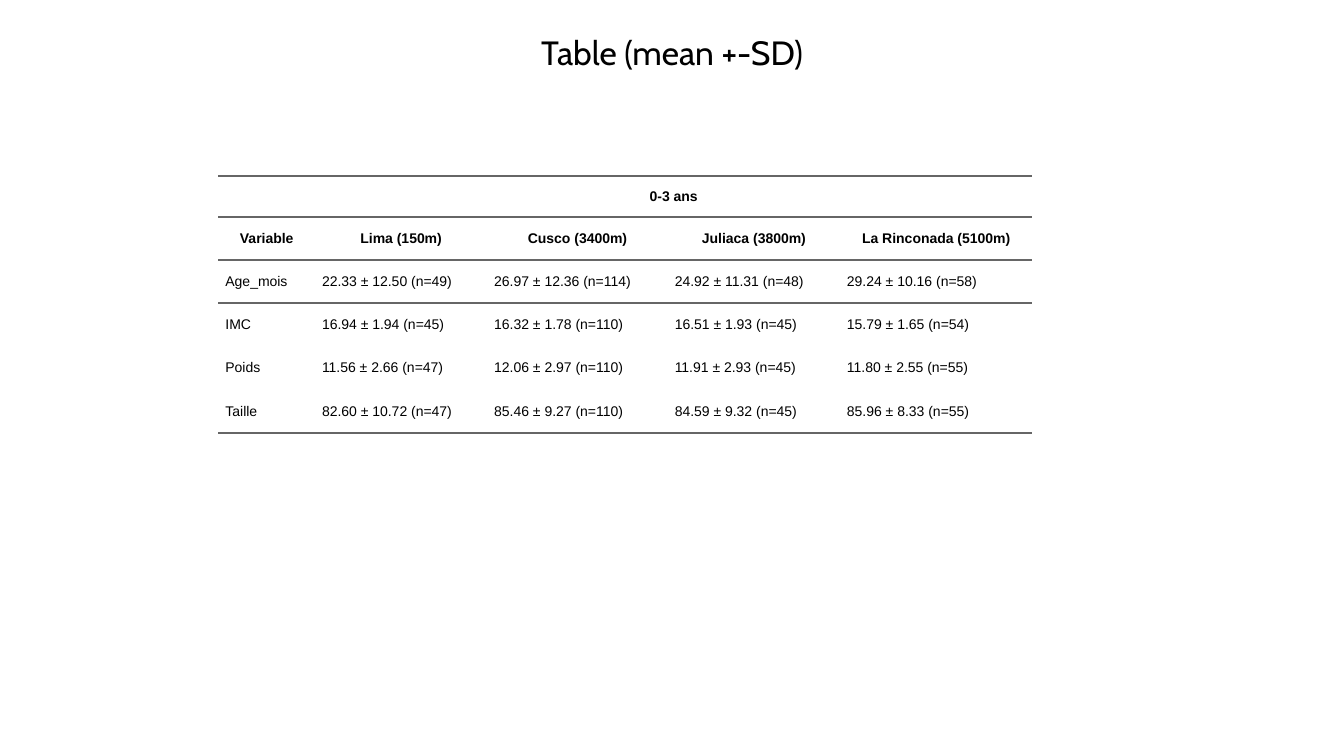
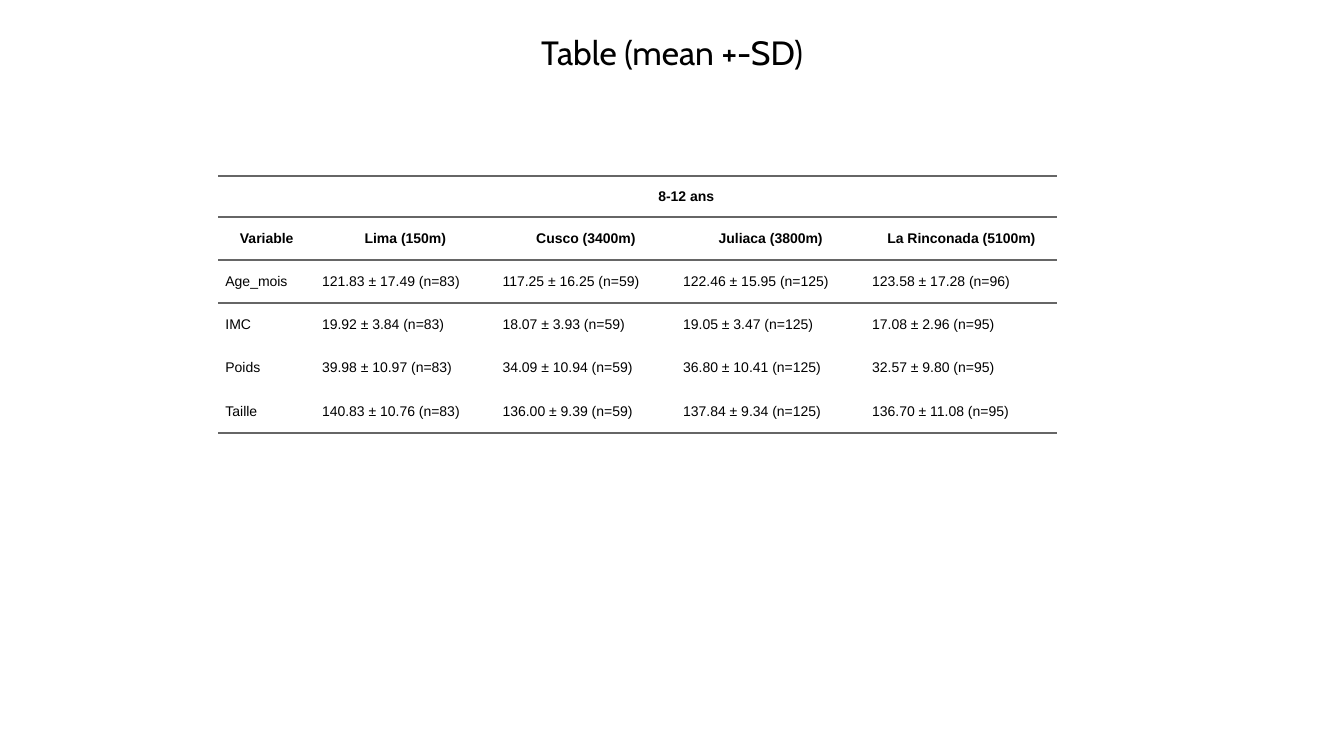
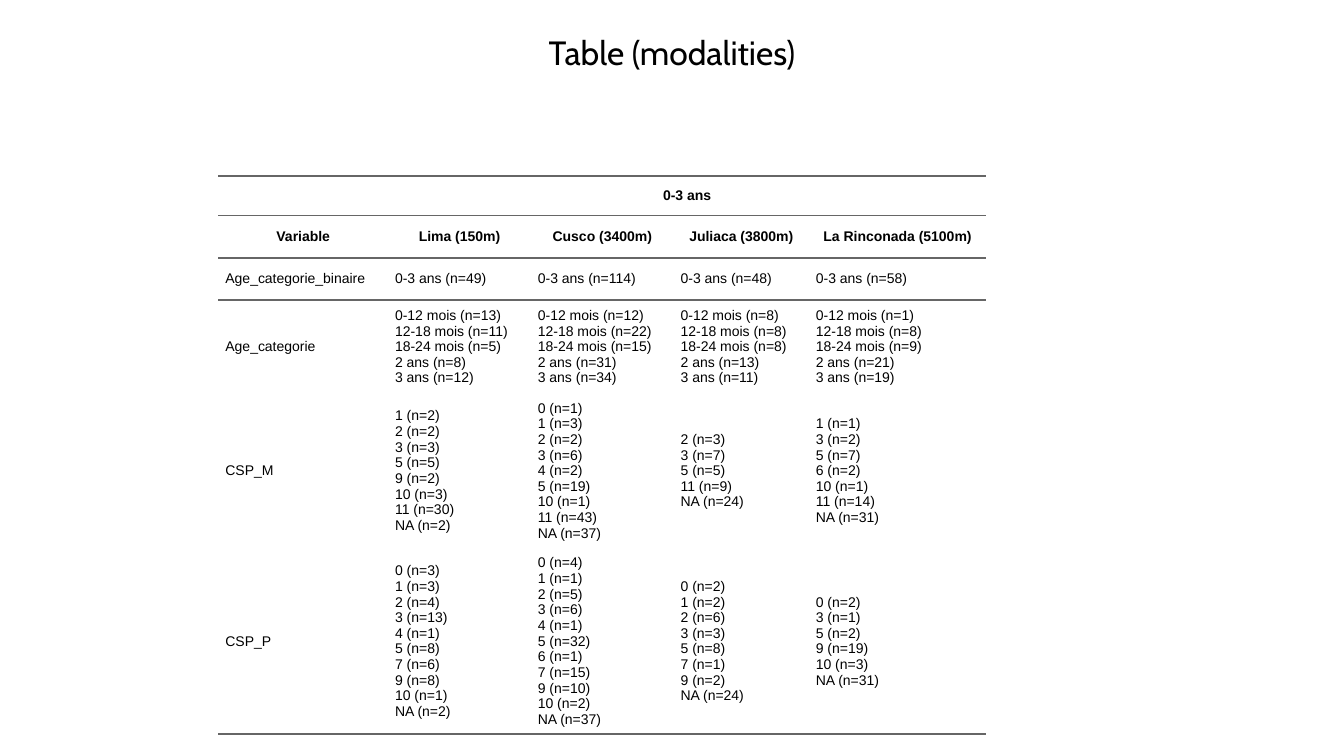
from lxml.etree import SubElement
from pptx import Presentation
from pptx.dml.color import RGBColor
from pptx.enum.text import MSO_ANCHOR as Anchor, PP_ALIGN as Align
from pptx.oxml import parse_xml
from pptx.oxml.ns import nsdecls, qn
from pptx.util import Inches, Pt

GRID_COLUMNS, GRID_ROWS = 160, 90
PLAIN_TABLE_STYLE = "{2D5ABB26-0587-4C30-8999-92F81FD0307C}"
HEADER = ["Variable", "Lima (150m)", "Cusco (3400m)", "Juliaca (3800m)",
          "La Rinconada (5100m)"]
AGES = ["0-12 mois", "12-18 mois", "18-24 mois", "2 ans", "3 ans"]


def color(value):
    return RGBColor.from_string(value)


def write(frame, text, font="Arial", size=10, bold=False, ink="000000",
          align=Align.LEFT, spacing=None):
    """Fill a text frame, one paragraph for each line of text."""
    frame.text = text
    for para in frame.paragraphs:
        para.alignment = align
        para.line_spacing = spacing
        for span in para.runs:
            span.font.name = font
            span.font.size = Pt(size)
            span.font.bold = bold
            span.font.color.rgb = color(ink)
        if not para.runs:
            SubElement(para._p, qn("a:endParaRPr"), sz=str(size * 100))


def rule(cell, sides, ink, points):
    """Draw cell borders; sides come in the order T, B."""
    properties = cell._tc.get_or_add_tcPr()
    for position, side in enumerate(sides):
        properties.insert(position, parse_xml(
            f'<a:ln{side} {nsdecls("a")} w="{Pt(points)}"><a:solidFill>'
            f'<a:srgbClr val="{ink}"/></a:solidFill></a:ln{side}>'))


def counts(pairs):
    """Turn 'category:number' items into lines such as 'category (n=number)'."""
    items = (pair.split(":") for pair in pairs.split())
    return "\n".join(f"{category} (n={number})" for category, number in items)


def age_counts(*numbers):
    return "\n".join(f"{age} (n={number})" for age, number in zip(AGES, numbers))


class Report:
    title_font, title_size = "Cabin", 24
    line_color, line_width = "666666", 1.5
    cell_margin = Inches(0.07)

    def __init__(self):
        self.deck = Presentation()
        self.deck.slide_width, self.deck.slide_height = Inches(13.33), Inches(7.5)
        self.page = None

    def across(self, columns):
        return int(self.deck.slide_width * columns / GRID_COLUMNS)

    def down(self, rows):
        return int(self.deck.slide_height * rows / GRID_ROWS)

    def add_page(self, title):
        self.page = self.deck.slides.add_slide(self.deck.slide_layouts[5])
        box = self.page.shapes.title
        box.left, box.top = self.across(5.5), self.down(-2.15)
        box.width, box.height = self.across(149), self.down(17.4)
        box.text_frame.vertical_anchor = Anchor.MIDDLE
        write(box.text_frame, title, font=self.title_font, size=self.title_size,
              align=Align.CENTER, spacing=0.9)

    def add_table(self, age_group, body, widths, heights):
        rows = [["", age_group, "", "", ""], HEADER, *body]
        table = self.page.shapes.add_table(
            len(rows), len(HEADER), self.across(26), self.down(21),
            self.across(sum(widths)), self.down(sum(heights))).table
        table.first_row = table.horz_banding = False
        table._tbl.tblPr.find(qn("a:tableStyleId")).text = PLAIN_TABLE_STYLE
        for column, width in zip(table.columns, widths):
            column.width = self.across(width)
        for row, height in zip(table.rows, heights):
            row.height = self.down(height)
        for number, texts in enumerate(rows):
            for cell, text in zip(table.rows[number].cells, texts):
                self.fill_cell(cell, text, number, len(rows) - 1)
        table.cell(0, 1).merge(table.cell(0, 4))

    def fill_cell(self, cell, text, number, last):
        heading = number < 2
        cell.margin_left = cell.margin_right = self.cell_margin
        cell.margin_top = cell.margin_bottom = self.cell_margin
        cell.vertical_anchor = Anchor.MIDDLE
        cell.fill.background()
        write(cell.text_frame, text, bold=heading,
              align=Align.CENTER if heading else Align.LEFT)
        sides = ("T" if number <= 2 else "") + ("B" if heading or number == last else "")
        rule(cell, sides, self.line_color, self.line_width)


def main():
    report = Report()
    mean_heights = [4.8] + [5.15] * 5

    report.add_page("Table (mean +-SD)")
    report.add_table("0-3 ans", [
        ["Age_mois", "22.33 ± 12.50 (n=49)", "26.97 ± 12.36 (n=114)",
         "24.92 ± 11.31 (n=48)", "29.24 ± 10.16 (n=58)"],
        ["IMC", "16.94 ± 1.94 (n=45)", "16.32 ± 1.78 (n=110)",
         "16.51 ± 1.93 (n=45)", "15.79 ± 1.65 (n=54)"],
        ["Poids", "11.56 ± 2.66 (n=47)", "12.06 ± 2.97 (n=110)",
         "11.91 ± 2.93 (n=45)", "11.80 ± 2.55 (n=55)"],
        ["Taille", "82.60 ± 10.72 (n=47)", "85.46 ± 9.27 (n=110)",
         "84.59 ± 9.32 (n=45)", "85.96 ± 8.33 (n=55)"],
    ], [11.5, 20.5, 21.5, 20.5, 22.9], mean_heights)

    report.add_page("Table (mean +-SD)")
    report.add_table("8-12 ans", [
        ["Age_mois", "121.83 ± 17.49 (n=83)", "117.25 ± 16.25 (n=59)",
         "122.46 ± 15.95 (n=125)", "123.58 ± 17.28 (n=96)"],
        ["IMC", "19.92 ± 3.84 (n=83)", "18.07 ± 3.93 (n=59)",
         "19.05 ± 3.47 (n=125)", "17.08 ± 2.96 (n=95)"],
        ["Poids", "39.98 ± 10.97 (n=83)", "34.09 ± 10.94 (n=59)",
         "36.80 ± 10.41 (n=125)", "32.57 ± 9.80 (n=95)"],
        ["Taille", "140.83 ± 10.76 (n=83)", "136.00 ± 9.39 (n=59)",
         "137.84 ± 9.34 (n=125)", "136.70 ± 11.08 (n=95)"],
    ], [11.5, 21.5, 21.5, 22.5, 22.9], mean_heights)

    report.add_page("Table (modalities)")
    report.add_table("0-3 ans", [
        ["Age_categorie_binaire", "0-3 ans (n=49)", "0-3 ans (n=114)",
         "0-3 ans (n=48)", "0-3 ans (n=58)"],
        ["Age_categorie", age_counts(13, 11, 5, 8, 12), age_counts(12, 22, 15, 31, 34),
         age_counts(8, 8, 8, 13, 11), age_counts(1, 8, 9, 21, 19)],
        ["CSP_M",
         counts("1:2 2:2 3:3 5:5 9:2 10:3 11:30 NA:2"),
         counts("0:1 1:3 2:2 3:6 4:2 5:19 10:1 11:43 NA:37"),
         counts("2:3 3:7 5:5 11:9 NA:24"),
         counts("1:1 3:2 5:7 6:2 10:1 11:14 NA:31")],
        ["CSP_P",
         counts("0:3 1:3 2:4 3:13 4:1 5:8 7:6 9:8 10:1 NA:2"),
         counts("0:4 1:1 2:5 3:6 4:1 5:32 6:1 7:15 9:10 10:2 NA:37"),
         counts("0:2 1:2 2:6 3:3 5:8 7:1 9:2 NA:24"),
         counts("0:2 3:1 5:2 9:19 10:3 NA:31")],
    ], [20.2, 17, 17, 16.1, 21.1], [4.65, 5.05, 5.05, 11.1, 17.4, 20.5])

    report.deck.save("out.pptx")


if __name__ == "__main__":
    main()
